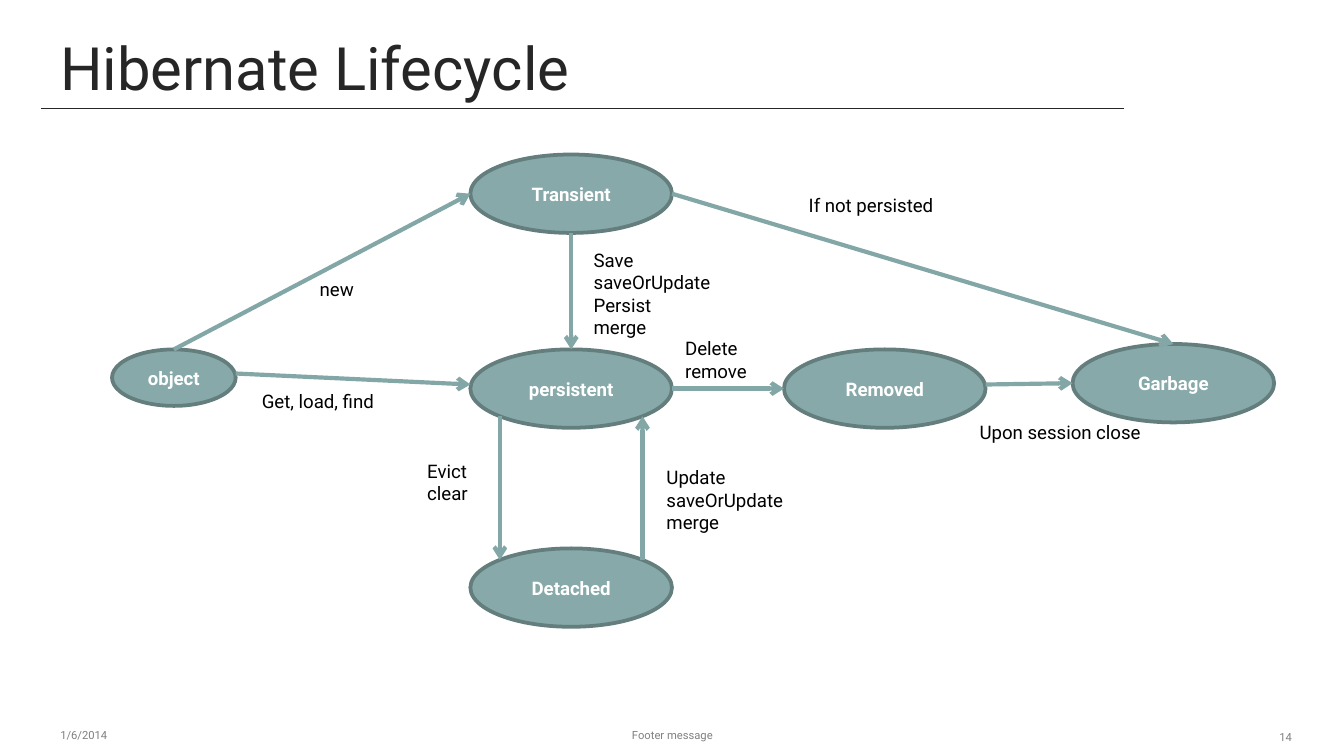
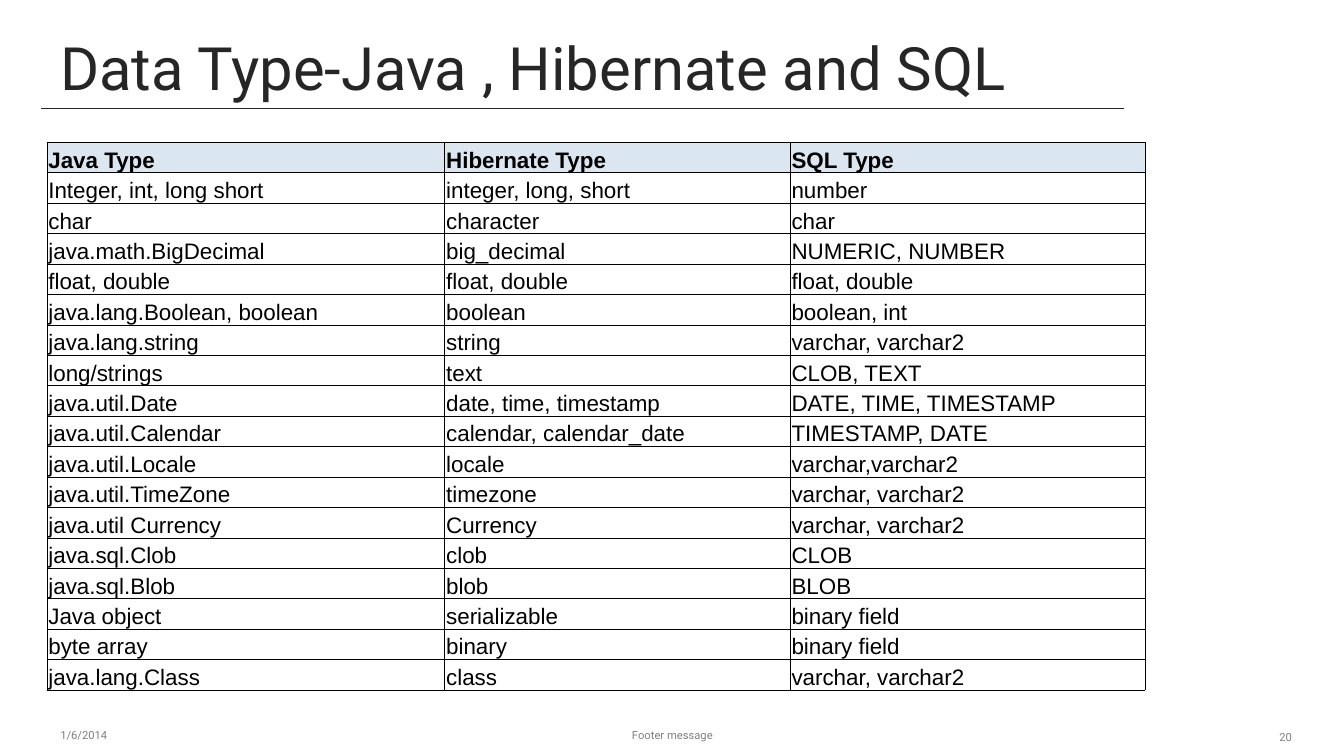
import math
from dataclasses import dataclass

import lxml.etree
import pptx
import pptx.dml.color
import pptx.enum.shapes
import pptx.enum.text
import pptx.oxml.ns
import pptx.util

Pt = pptx.util.Pt
ALIGN = pptx.enum.text.PP_ALIGN
ANCHOR = pptx.enum.text.MSO_ANCHOR
qn = pptx.oxml.ns.qn


@dataclass(frozen=True)
class Theme:
    """Colours, fonts and sizes shared by the slides."""
    background: str = "FFFFFF"
    title: str = "262626"
    footer: str = "808080"
    text: str = "000000"
    state: str = "87A9A9"
    state_edge: str = "647D7D"
    state_text: str = "FFFFFF"
    arrow: str = "83A6A6"
    header: str = "DCE6F1"
    font: str = "Roboto"
    table_font: str = "Arial"
    title_size: float = 32
    table_size: float = 12
    label_size: float = 10
    footer_size: float = 6


THEME = Theme()
SLIDE_SIZE = (720, 405)
TITLE_BOX = (25.2, 15.1, 640.8, 43.2)
FOOTER_BOX = (25.2, 383, 674, 21.6)
LIFECYCLE_BOX = (60, 82.8, 623, 253)
TYPES_BOX = (25.2, 76.3, 588.24, 293.76)

SITES = {"top": (0, 90), "top left": (1, 135), "left": (2, 180), "bottom left": (3, 225),
         "bottom": (4, 270), "bottom right": (5, 315), "right": (6, 0), "top right": (7, 45)}

STATES = {
    "object": (0, 104.4, 66.24, 30.24),
    "Detached": (192, 211, 108, 42),
    "persistent": (192, 104.4, 108, 42),
    "Transient": (192, 0, 108, 42),
    "Removed": (360, 104.4, 108, 42),
    "Garbage": (514.6, 101.5, 108, 42),
}

TRANSITIONS = [
    (("object", "top", 0), ("Transient", "left", 0)),
    (("object", "right", 2.2), ("persistent", "left", 2.2)),
    (("persistent", "bottom left", 0), ("Detached", "top left", 0)),
    (("Detached", "top right", 0), ("persistent", "bottom right", 0)),
    (("Transient", "bottom", 0), ("persistent", "top", 0)),
    (("Transient", "right", 0), ("Garbage", "top", 0)),
    (("persistent", "right", 0), ("Removed", "left", 0)),
    (("Removed", "right", 2.2), ("Garbage", "left", 0)),
]

TRANSITION_LABELS = [
    (73.2, 122.4, 78, "Get, load, find"),
    (300, 94.3, 78, "Delete\nremove"),
    (251, 46.8, 78, "Save\nsaveOrUpdate\nPersist\nmerge"),
    (104.2, 62.6, 78, "new"),
    (161.8, 159.8, 39, "Evict\nclear"),
    (290, 163.4, 93.6, "Update\nsaveOrUpdate\nmerge"),
    (366.2, 17.3, 84.2, "If not persisted"),
    (457.7, 139, 118.8, "Upon session close"),
]

TYPE_COLUMNS = (213.12, 185.04, 190.08)
TYPE_ROWS = [
    ("Java Type", "Hibernate Type", "SQL Type"),
    ("Integer, int, long short", "integer, long, short", "number"),
    ("char", "character", "char"),
    ("java.math.BigDecimal", "big_decimal", "NUMERIC, NUMBER"),
    ("float, double", "float, double", "float, double"),
    ("java.lang.Boolean, boolean", "boolean", "boolean, int"),
    ("java.lang.string", "string", "varchar, varchar2"),
    ("long/strings", "text", "CLOB, TEXT"),
    ("java.util.Date", "date, time, timestamp", "DATE, TIME, TIMESTAMP"),
    ("java.util.Calendar", "calendar, calendar_date", "TIMESTAMP, DATE"),
    ("java.util.Locale", "locale", "varchar,varchar2"),
    ("java.util.TimeZone", "timezone", "varchar, varchar2"),
    ("java.util Currency", "Currency", "varchar, varchar2"),
    ("java.sql.Clob", "clob", "CLOB"),
    ("java.sql.Blob", "blob", "BLOB"),
    ("Java object", "serializable", "binary field"),
    ("byte array", "binary", "binary field"),
    ("java.lang.Class", "class", "varchar, varchar2"),
]


def rgb(value):
    """Return a colour object for a hex value."""
    return pptx.dml.color.RGBColor.from_string(value)


def add_xml(parent, tag, **attributes):
    """Append an element and return it."""
    return lxml.etree.SubElement(parent, qn(tag), {k: str(v) for k, v in attributes.items()})


def write(frame, text, size, color, font=THEME.font, bold=False, align=ALIGN.LEFT):
    """Fill a text frame with uniformly styled paragraphs."""
    frame.text = text
    frame.word_wrap = True
    for paragraph in frame.paragraphs:
        paragraph.alignment = align
        paragraph.font.name = font
        paragraph.font.size = Pt(size)
        paragraph.font.bold = bold
        paragraph.font.color.rgb = rgb(color)


def add_text(slide, box, text, size, color, anchor=ANCHOR.TOP, align=ALIGN.LEFT):
    """Add a text box."""
    frame = slide.shapes.add_textbox(*map(Pt, box)).text_frame
    write(frame, text, size, color, align=align)
    frame.vertical_anchor = anchor


def add_line(slide, start, end, color, width):
    """Add a straight connector and return it with its effect list."""
    line = slide.shapes.add_connector(
        pptx.enum.shapes.MSO_CONNECTOR.STRAIGHT, *map(Pt, (*start, *end)))
    line.line.color.rgb = rgb(color)
    line.line.width = Pt(width)
    return line, add_xml(line._element.spPr, "a:effectLst")


def add_title(slide, box, title):
    """Add the title and the shadowed rule below it."""
    left, top, width, height = box
    rule_y = top + height
    rule, effects = add_line(slide, (left - 3.1, rule_y), (left + 576.7, rule_y), THEME.title, 0.5)
    shadow = add_xml(effects, "a:outerShdw", blurRad=Pt(3.1), dist=Pt(1.8),
                     dir=90 * 60000, rotWithShape=0)
    add_xml(add_xml(shadow, "a:srgbClr", val="000000"), "a:alpha", val=35000)
    add_text(slide, box, title, THEME.title_size, THEME.title, ANCHOR.BOTTOM)


def add_footer(slide, box, number):
    """Add the date, the message and the slide number."""
    left, top, width, height = box
    for x, y, w, text, align in (
            (0, 0, 168, "1/6/2014", ALIGN.LEFT),
            (221, 0, 228, "Footer message", ALIGN.CENTER),
            (width - 168, 1.1, 168, str(number), ALIGN.RIGHT)):
        add_text(slide, (left + x, top + y, w, height), text,
                 THEME.footer_size, THEME.footer, ANCHOR.MIDDLE, align)


def add_state(slide, box, name):
    """Add one lifecycle state."""
    state = slide.shapes.add_shape(pptx.enum.shapes.MSO_SHAPE.OVAL, *map(Pt, box))
    state.shadow.inherit = False
    state.fill.solid()
    state.fill.fore_color.rgb = rgb(THEME.state)
    state.line.color.rgb = rgb(THEME.state_edge)
    state.line.width = Pt(2)
    write(state.text_frame, name, THEME.label_size, THEME.state_text, bold=True, align=ALIGN.CENTER)
    state.text_frame.vertical_anchor = ANCHOR.MIDDLE
    return state


def site_point(state, site, lift):
    """Return the point of an ellipse's connection site, raised by a lift."""
    angle = math.radians(SITES[site][1])
    return (state.left.pt + state.width.pt * (1 + math.cos(angle)) / 2,
            state.top.pt + state.height.pt * (1 - math.sin(angle)) / 2 - lift)


def add_transition(slide, states, source, target):
    """Add an arrow between two states, joined where it meets their sites."""
    ends = [(states[name], site, lift) for name, site, lift in (source, target)]
    arrow, _ = add_line(slide, *(site_point(*end) for end in ends), THEME.arrow, 2.25)
    add_xml(arrow.line._get_or_add_ln(), "a:tailEnd", type="arrow")
    joints = arrow._element.nvCxnSpPr.cNvCxnSpPr
    for tag, (state, site, lift) in zip(("a:stCxn", "a:endCxn"), ends):
        if not lift:
            add_xml(joints, tag, id=state.shape_id, idx=SITES[site][0])


def add_lifecycle(slide, box):
    """Add the lifecycle diagram."""
    left, top = box[:2]
    states = {name: add_state(slide, (left + x, top + y, w, h), name)
              for name, (x, y, w, h) in STATES.items()}
    for source, target in TRANSITIONS:
        add_transition(slide, states, source, target)
    for x, y, width, text in TRANSITION_LABELS:
        height = 7.4 + 12 * len(text.split("\n"))
        add_text(slide, (left + x, top + y, width, height), text, THEME.label_size, THEME.text)


def style_type_cell(cell, text, is_header):
    """Fill one cell of the type table."""
    write(cell.text_frame, text, THEME.table_size, THEME.text, THEME.table_font, is_header)
    cell.vertical_anchor = ANCHOR.BOTTOM
    cell.margin_left = cell.margin_top = cell.margin_right = Pt(0.72)
    cell.margin_bottom = 0
    properties = cell._tc.get_or_add_tcPr()
    for side in "LRTB":
        border = add_xml(properties, f"a:ln{side}", w=Pt(0.5))
        add_xml(add_xml(border, "a:solidFill"), "a:srgbClr", val=THEME.text)
    if is_header:
        cell.fill.solid()
        cell.fill.fore_color.rgb = rgb(THEME.header)
    else:
        cell.fill.background()


def add_types(slide, box):
    """Add the table of matching types."""
    table = slide.shapes.add_table(len(TYPE_ROWS), len(TYPE_COLUMNS), *map(Pt, box)).table
    table.horz_banding = False
    for column, width in zip(table.columns, TYPE_COLUMNS):
        column.width = Pt(width)
    for r, texts in enumerate(TYPE_ROWS):
        table.rows[r].height = Pt(box[3] / len(TYPE_ROWS))
        for c, text in enumerate(texts):
            style_type_cell(table.cell(r, c), text, r == 0)


def add_slide(deck, title, number, add_content, content_box):
    """Add a slide with the shared title, footer and its content."""
    slide = deck.slides.add_slide(deck.slide_layouts[6])
    slide.background.fill.solid()
    slide.background.fill.fore_color.rgb = rgb(THEME.background)
    add_title(slide, TITLE_BOX, title)
    add_content(slide, content_box)
    add_footer(slide, FOOTER_BOX, number)


def main():
    """Build and save the deck."""
    deck = pptx.Presentation()
    deck.slide_width, deck.slide_height = map(Pt, SLIDE_SIZE)
    add_slide(deck, "Hibernate Lifecycle", 14, add_lifecycle, LIFECYCLE_BOX)
    add_slide(deck, "Data Type-Java , Hibernate and SQL", 20, add_types, TYPES_BOX)
    deck.save("out.pptx")


if __name__ == "__main__":
    main()
